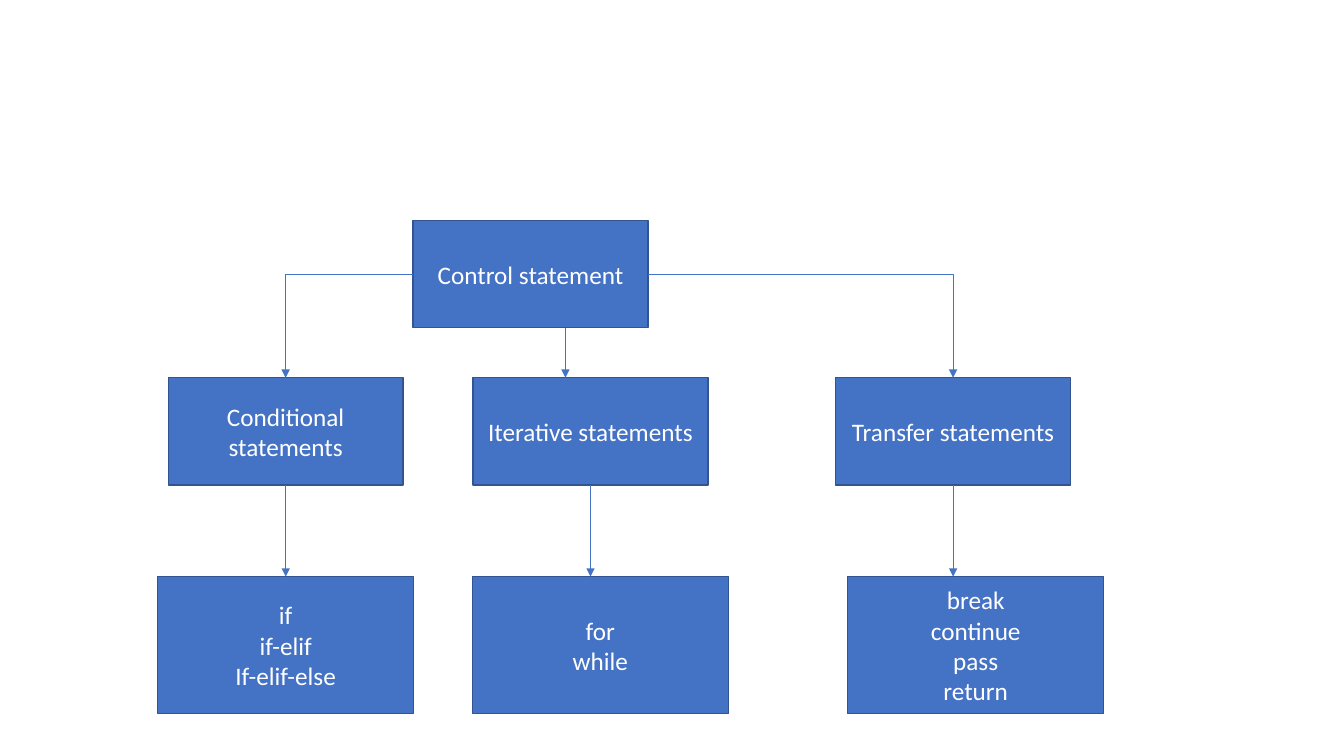
from lxml import etree
from pptx import Presentation
from pptx import util as u
from pptx.dml.color import RGBColor
from pptx.enum import shapes, text
from pptx.oxml import ns

BLUE = RGBColor(0x44, 0x72, 0xC4)
DARK_BLUE = RGBColor(0x32, 0x54, 0x91)
WHITE = RGBColor(0xFF, 0xFF, 0xFF)
FONT = {"name": "Calibri", "size": u.Pt(18)}

TOP, BOTTOM = 0, 2
LEFT, RIGHT = 1, 3

# Each row: top, box width, box height (cm)
ROOT_ROW = (5.56, 5.92, 2.7)
GROUP_ROW = (9.52, 5.92, 2.7)
KEYWORD_ROW = (14.53, 6.45, 3.45)

ROOT = ("Control statement", 13.37)
# Group name, its centre, its keywords, their centre, side of the root the arrow leaves from
GROUPS = [
    ("Conditional statements", 7.2, ["if", "if-elif", "If-elif-else"], 7.2, LEFT),
    ("Iterative statements", 14.88, ["for", "while"], 15.13, BOTTOM),
    ("Transfer statements", 24.02, ["break", "continue", "pass", "return"], 24.59, RIGHT),
]
ROOT_ARROW_X = 14.25


def add_box(slide, row, centre, lines):
    top, width, height = row
    box = slide.shapes.add_shape(
        shapes.MSO_SHAPE.RECTANGLE,
        u.Cm(centre - width / 2), u.Cm(top), u.Cm(width), u.Cm(height))
    box.shadow.inherit = False
    box.fill.solid()
    box.fill.fore_color.rgb = BLUE
    box.line.color.rgb = DARK_BLUE
    box.line.width = u.Pt(1)
    frame = box.text_frame
    frame.word_wrap = True
    frame.vertical_anchor = text.MSO_ANCHOR.MIDDLE
    frame.text = "\n".join(lines)
    for paragraph in frame.paragraphs:
        paragraph.alignment = text.PP_ALIGN.CENTER
        for name, value in FONT.items():
            setattr(paragraph.font, name, value)
        paragraph.font.color.rgb = WHITE
    return box


def add_arrow(slide, start, end, kind=shapes.MSO_CONNECTOR.STRAIGHT):
    points = [u.Cm(value) for value in (*start, *end)]
    arrow = slide.shapes.add_connector(kind, *points)
    arrow.line.color.rgb = BLUE
    arrow.line.width = u.Pt(0.5)
    properties = arrow._element.spPr
    line = properties.find(ns.qn("a:ln"))
    etree.SubElement(line, ns.qn("a:tailEnd"), type="triangle")
    etree.SubElement(properties, ns.qn("a:effectLst"))
    return arrow


def add_corner_arrow(slide, root, side, group, start, end):
    """Arrow that leaves the root sideways and turns down once."""
    arrow = add_arrow(slide, start, end, shapes.MSO_CONNECTOR.ELBOW)
    geometry = arrow._element.spPr.find(ns.qn("a:prstGeom"))
    geometry.set("prst", "bentConnector2")
    arrow.begin_connect(root, side)
    arrow.end_connect(group, TOP)


def main():
    presentation = Presentation()
    presentation.slide_width = u.Cm(33.87)
    presentation.slide_height = u.Cm(19.05)
    slide = presentation.slides.add_slide(presentation.slide_layouts[6])

    root_name, root_centre = ROOT
    root_top, root_width, root_height = ROOT_ROW
    group_top, _, group_height = GROUP_ROW
    root = add_box(slide, ROOT_ROW, root_centre, [root_name])

    for name, centre, keywords, keyword_centre, side in GROUPS:
        group = add_box(slide, GROUP_ROW, centre, [name])
        keyword_box = add_box(slide, KEYWORD_ROW, keyword_centre, keywords)

        if side == BOTTOM:
            add_arrow(slide, (ROOT_ARROW_X, root_top + root_height),
                      (ROOT_ARROW_X, group_top))
        else:
            direction = -1 if side == LEFT else 1
            start = (root_centre + direction * root_width / 2,
                     root_top + root_height / 2)
            add_corner_arrow(slide, root, side, group, start, (centre, group_top))

        arrow = add_arrow(slide, (centre, group_top + group_height),
                          (centre, KEYWORD_ROW[0]))
        arrow.begin_connect(group, BOTTOM)
        if centre == keyword_centre:
            arrow.end_connect(keyword_box, TOP)

    presentation.save("out.pptx")


if __name__ == "__main__":
    main()
